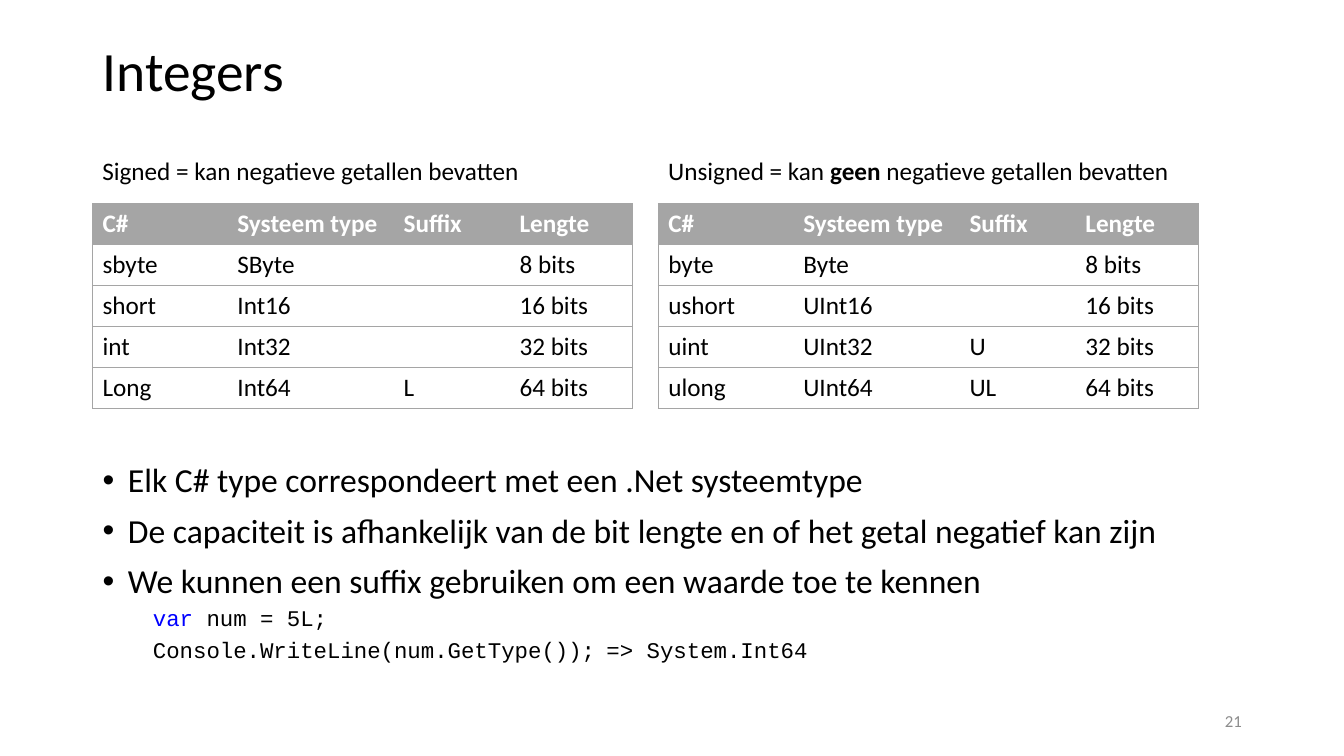
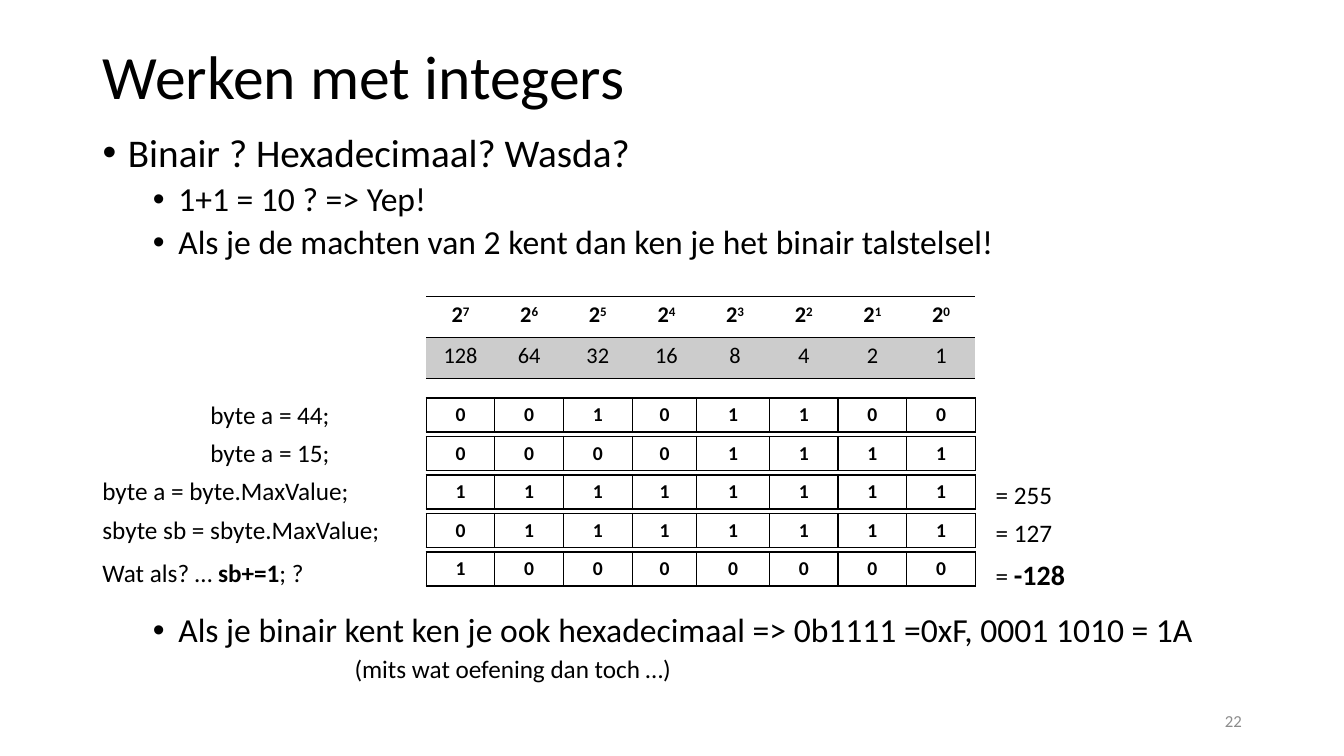
from lxml import etree
from pptx import Presentation
from pptx import util as u
from pptx.dml.color import RGBColor
from pptx.enum import text as t
from pptx.oxml import ns

HUE = {"ink": "000000", "paper": "FFFFFF", "line": "A5A5A5",
       "band": "CCCCCC", "key": "0000FF", "page": "8C8C8C"}
LEFT, WIDE = 2.33, 29.21
PLAIN = "{2D5ABB26-0587-4C30-8999-92F81FD0307C}"
BASE = {"size": 18, "bold": False, "name": "Calibri", "hue": "ink"}


def put(obj, vals):
    """Set every value of the dict as an attribute."""
    for key, val in vals.items():
        setattr(obj, key, val)


def tag(top, name, **vals):
    """Append a drawing element and return it."""
    node = etree.SubElement(top, ns.qn("a:" + name))
    for key, val in vals.items():
        node.set(key, str(val))
    return node


def edge(cell, sides, hue, width):
    """Draw the named cell borders, in the order L, R, T, B."""
    props = cell._tc.get_or_add_tcPr()
    for spot, side in enumerate(sides):
        line = tag(props, "ln" + side, w=u.Pt(width))
        tag(tag(line, "solidFill"), "srgbClr", val=HUE[hue])
        props.insert(spot, line)


def point(level, *runs, size=24, gap=5):
    """Describe a bulleted list item."""
    return {"runs": runs, "size": size, "gap": gap, "level": level,
            "left": 0.64 + 1.27 * level, "hang": -0.64, "mark": "•"}


def code(*runs):
    """Describe a line of code with two tab stops."""
    return {"runs": runs, "size": 16, "gap": 5, "level": 2,
            "left": 0, "hang": 0, "tabs": (5.08, 17.78), "name": "Courier New"}


class Deck:
    """Holds the shared style and the current slide."""

    def __init__(self):
        """Start a wide presentation."""
        self.prs = Presentation()
        put(self.prs, {"slide_width": u.Cm(33.87), "slide_height": u.Cm(19.05)})

    def page(self, title, size, high, num):
        """Add a slide with its title and number."""
        self.slide = self.prs.slides.add_slide(self.prs.slide_layouts[1])
        head = self.slide.shapes.title
        self.place(head, LEFT, 1.02, WIDE, high, anchor="MIDDLE")
        para = head.text_frame.paragraphs[0]
        put(para, {"line_spacing": 0.9, "alignment": t.PP_ALIGN.LEFT})
        self.letter(para, [title], size=size)
        self.label(23.93, 17.65, 7.62, num, anchor="MIDDLE", align="RIGHT",
                   size=12, hue="page")

    def place(self, shape, left, top, wide, high, anchor="TOP"):
        """Move a shape and set up its text frame."""
        put(shape, {"left": u.Cm(left), "top": u.Cm(top),
                    "width": u.Cm(wide), "height": u.Cm(high)})
        put(shape.text_frame, {"word_wrap": True, "auto_size": t.MSO_AUTO_SIZE.NONE,
                               "vertical_anchor": t.MSO_ANCHOR[anchor]})

    def letter(self, para, runs, **style):
        """Add runs, each a string or a pair of string and format."""
        for item in runs:
            words, own = (item, {}) if isinstance(item, str) else item
            look = {**BASE, **style, **own}
            run = para.add_run()
            run.text = words
            put(run.font, {"size": u.Pt(look["size"]), "bold": look["bold"],
                           "name": look["name"]})
            run.font.color.rgb = RGBColor.from_string(HUE[look["hue"]])
            if "lift" in look:
                run._r.get_or_add_rPr().set("baseline", str(look["lift"] * 1000))

    def label(self, left, top, wide, *runs, anchor="TOP", align="LEFT", **style):
        """Add a one-line text box."""
        box = self.slide.shapes.add_textbox(0, 0, 0, 0)
        self.place(box, left, top, wide, 1.03, anchor)
        para = box.text_frame.paragraphs[0]
        para.alignment = t.PP_ALIGN[align]
        self.letter(para, runs, **style)

    def points(self, top, high, rows):
        """Fill the body placeholder with list items."""
        body = self.slide.placeholders[1]
        self.place(body, LEFT, top, WIDE, high)
        frame = body.text_frame
        for i, row in enumerate(rows):
            para = frame.add_paragraph() if i else frame.paragraphs[0]
            put(para, {"level": row["level"], "line_spacing": 0.9,
                       "space_before": u.Pt(row["gap"])})
            props = para._p.get_or_add_pPr()
            props.set("marL", str(u.Cm(row["left"])))
            props.set("indent", str(u.Cm(row["hang"])))
            if "mark" in row:
                tag(props, "buFont", typeface="Arial")
                tag(props, "buChar", char=row["mark"])
            else:
                tag(props, "buNone")
            if "tabs" in row:
                stops = tag(props, "tabLst")
                for stop in row["tabs"]:
                    tag(stops, "tab", pos=u.Cm(stop), algn="l")
            self.letter(para, row["runs"], size=row["size"],
                        name=row.get("name", "Calibri"))

    def grid(self, left, top, cols, high, rows, dress):
        """Add a table; dress gives fill, borders, alignment and text style."""
        frame = self.slide.shapes.add_table(
            len(rows), len(cols), u.Cm(left), u.Cm(top),
            u.Cm(sum(cols)), u.Cm(high * len(rows)))
        table = frame.table
        put(table, {"first_row": False, "horz_banding": False})
        table._tbl.tblPr.find(ns.qn("a:tableStyleId")).text = PLAIN
        for col, wide in zip(table.columns, cols):
            col.width = u.Cm(wide)
        for r, row in enumerate(rows):
            table.rows[r].height = u.Cm(high)
            for c, runs in enumerate(row):
                cell = table.cell(r, c)
                fill, border, align, style = dress(r, c)
                if fill:
                    cell.fill.solid()
                    cell.fill.fore_color.rgb = RGBColor.from_string(HUE[fill])
                else:
                    cell.fill.background()
                edge(cell, *border)
                para = cell.text_frame.paragraphs[0]
                para.alignment = t.PP_ALIGN[align]
                self.letter(para, [runs] if isinstance(runs, str) else runs, **style)


def types(r, c):
    """Style of the tables of integer types."""
    sides = {0: "LTB", 3: "RTB"}.get(c, "TB")
    style = {} if r else {"bold": True, "hue": "paper"}
    return None if r else "line", (sides, "line", 0.5), "LEFT", style


def powers(r, c):
    """Style of the table of powers of two."""
    return ("band" if r else None, ("TB", "ink", 1), "CENTER",
            {"size": 16, "bold": not r})


def bits(r, c):
    """Style of a row of bits."""
    return None, ("LRTB", "ink", 1), "CENTER", {"size": 14, "bold": True}


def ints(deck):
    """Build the slide on the integer types."""
    deck.page("Integers", 39.6, 1.65, "21")
    fat = {"bold": True}
    head = ("C#", "Systeem type", "Suffix", "Lengte")
    signed = [("sbyte", "SByte", ""), ("short", "Int16", ""),
              ("int", "Int32", ""), ("Long", "Int64", "L")]
    bare = [("byte", "Byte", ""), ("ushort", "UInt16", ""),
            ("uint", "UInt32", "U"), ("ulong", "UInt64", "UL")]
    sets = [(LEFT, signed, ["Signed = kan negatieve getallen bevatten"]),
            (16.59, bare, ["Unsigned = kan ", ("geen", fat),
                           " negatieve getallen bevatten"])]
    for left, kinds, runs in sets:
        rows = [(*kind, f"{8 * 2 ** i} bits") for i, kind in enumerate(kinds)]
        deck.grid(left, 5.13, (3.4, 4.19, 2.92, 3.1), 1.03, [head, *rows], types)
        deck.label(left, 3.78, 13.18, *runs)
    lines = ["Elk C# type correspondeert met een .Net systeemtype",
             "De capaciteit is afhankelijk van de bit lengte en of het getal "
             "negatief kan zijn",
             "We kunnen een suffix gebruiken om een waarde toe te kennen"]
    deck.points(11.56, 5.92, [
        *(point(0, line, gap=10) for line in lines),
        code(("\tvar ", {"hue": "key"}), "num = 5L;"),
        code("\tConsole.WriteLine(num.GetType());\t=> System.Int64")])


def work(deck):
    """Build the slide on working with integers."""
    deck.page("Werken met integers", 44, 1.98, "22")
    deck.points(3.23, 14.45, [
        point(0, "Binair ? Hexadecimaal? Wasda?", size=28, gap=10),
        point(1, "1+1 = 10 ? => Yep!"),
        point(1, "Als je de machten van 2 kent dan ken je het binair talstelsel!"),
        point(1, "Als je binair kent ken je ook hexadecimaal => "
                 "0b1111 =0xF, 0001 1010 = 1A", gap=251),
        {"runs": ["(mits wat oefening dan toch …)"], "size": 18, "gap": 5,
         "level": 3, "left": 6.35, "hang": 0}])
    left, cell = 10.74, 1.73
    exps = range(7, -1, -1)
    deck.grid(left, 7.47, [cell] * 8, 1.03, [
        [("2", (str(n), {"lift": 30})) for n in exps],
        [str(2 ** n) for n in exps]], powers)
    fat = {"bold": True}
    cols = [cell] * 3 + [1.63, 1.83] + [cell] * 3
    rows = [("00101100", 5.05, 9.93, ["byte a = 44;"], 0, []),
            ("00001111", 5.05, 10.9, ["byte a = 15;"], 0, []),
            ("11111111", LEFT, 11.86, ["byte a = byte.MaxValue;"],
             11.96, ["= 255"]),
            ("01111111", LEFT, 12.83, ["sbyte sb = sbyte.MaxValue;"],
             12.9, ["= 127"]),
            ("10000000", LEFT, 13.92, ["Wat als? … ", ("sb+=1", fat), "; ?"],
             13.92, ["= ", ("-128", {"size": 20, "bold": True})])]
    for i, (mask, start, top, name, low, value) in enumerate(rows):
        deck.grid(left, 10.03 + 0.97 * i, cols, 0.84, [mask], bits)
        deck.label(start, top, 10.21 - start, *name)
        if value:
            deck.label(24.84, low, 2.9, *value)


deck = Deck()
ints(deck)
work(deck)
deck.prs.save("out.pptx")
